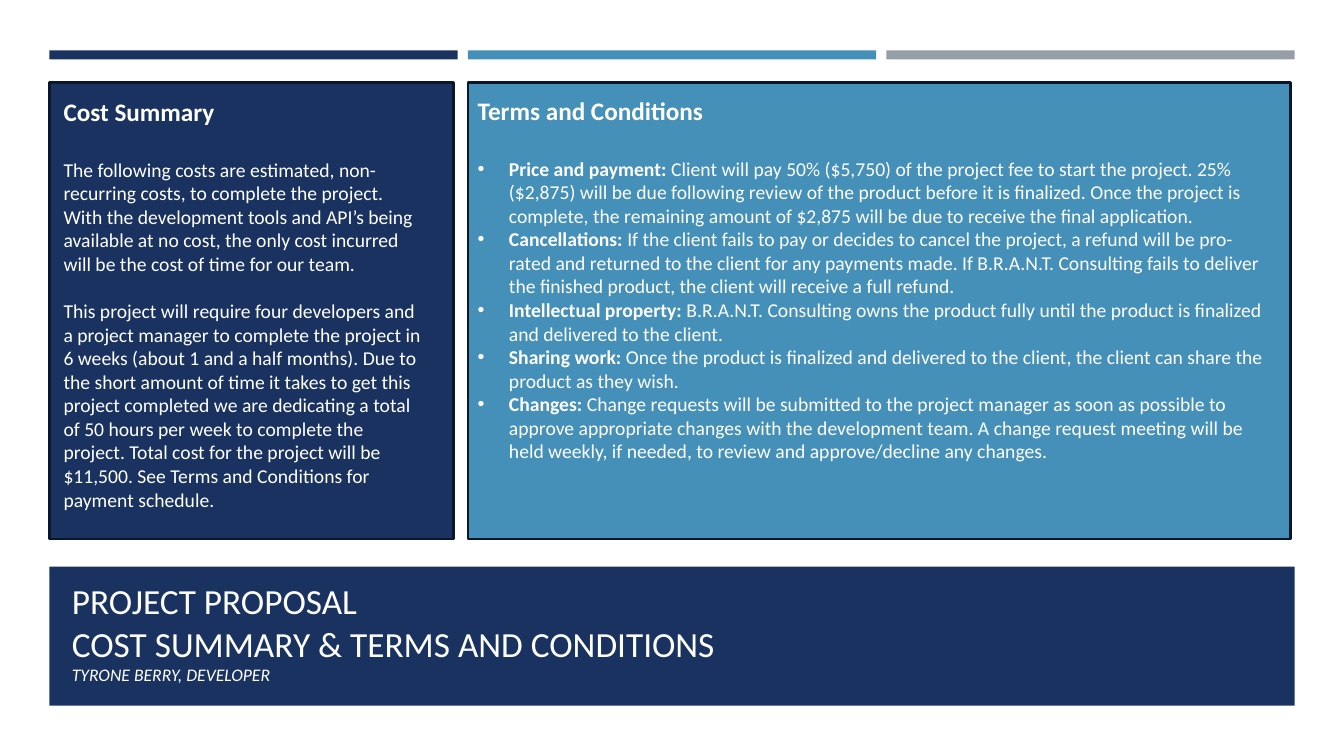
from lxml.etree import SubElement as Sub
from pptx import Presentation
from pptx.dml.color import RGBColor as RGB
from pptx.enum.shapes import MSO_SHAPE as Shape
from pptx.enum.text import MSO_ANCHOR as Anchor
from pptx.oxml.ns import qn
from pptx.util import Inches, Pt

NAVY, BLUE, GREY = "1A3260", "4590B8", "969FA7"
EDGE, WHITE, CREAM = "0B162A", "FFFFFF", "FFFEFF"

COSTS = [
    "The following costs are estimated, non-recurring costs, to complete the project. "
    "With the development tools and API’s being available at no cost, the only cost "
    "incurred will be the cost of time for our team.",
    "This project will require four developers and a project manager to complete the "
    "project in 6 weeks (about 1 and a half months). Due to the short amount of time it "
    "takes to get this project completed we are dedicating a total of 50 hours per week "
    "to complete the project. Total cost for the project will be $11,500. See Terms and "
    "Conditions for payment schedule.",
]
TERMS = {
    "Price and payment:":
        "Client will pay 50% ($5,750) of the project fee to start the project. 25% ($2,875) "
        "will be due following review of the product before it is finalized. Once the project "
        "is complete, the remaining amount of $2,875 will be due to receive the final "
        "application.",
    "Cancellations:":
        "If the client fails to pay or decides to cancel the project, a refund will be "
        "pro-rated and returned to the client for any payments made. If B.R.A.N.T. Consulting "
        "fails to deliver the finished product, the client will receive a full refund.",
    "Intellectual property:":
        "B.R.A.N.T. Consulting owns the product fully until the product is finalized and "
        "delivered to the client.",
    "Sharing work:":
        "Once the product is finalized and delivered to the client, the client can share the "
        "product as they wish.",
    "Changes:":
        "Change requests will be submitted to the project manager as soon as possible to "
        "approve appropriate changes with the development team. A change request meeting will "
        "be held weekly, if needed, to review and approve/decline any changes.",
}


def tint(code):
    return RGB.from_string(code)


class Page:
    """Slide on a grid of three columns and 75 rows."""
    font = "Calibri"
    left, pitch, gap, row = 0.49, 4.15, 0.1, 0.1

    def __init__(self, slide):
        self.slide = slide

    def area(self, col, row, wide, high):
        """Turn grid units into left, top, width and height."""
        return [Inches(n) for n in (self.left + col * self.pitch, row * self.row,
                                    wide * self.pitch - self.gap, high * self.row)]

    def block(self, cell, fill, edge=None):
        box = self.slide.shapes.add_shape(Shape.RECTANGLE, *self.area(*cell))
        box.shadow.inherit = False
        box.fill.solid()
        box.fill.fore_color.rgb = tint(fill)
        if edge:
            box.line.color.rgb = tint(edge)
            box.line.width = Pt(1.75)
        else:
            box.line.fill.background()

    def text(self, cell, anchor=Anchor.TOP):
        frame = self.slide.shapes.add_textbox(*self.area(*cell)).text_frame
        frame.word_wrap = True
        frame.vertical_anchor = anchor
        return frame

    def para(self, frame, parts, size, after=0, color=WHITE, italic=False, bullet=False):
        """Add a paragraph of (words, bold) parts."""
        para = frame.paragraphs[0]
        if para.runs:
            para = frame.add_paragraph()
        if bullet:
            props = para._p.get_or_add_pPr()
            props.set("marL", str(Inches(0.31)))
            props.set("indent", str(-Inches(0.31)))
            Sub(props, qn("a:buFont"), typeface="Arial")
            Sub(props, qn("a:buChar"), char="•")
        para.space_after = Pt(after)
        for words, bold in parts:
            run = para.add_run()
            run.text = words
            font = run.font
            font.name, font.size = self.font, Pt(size)
            font.bold, font.italic = bold, italic
            font.color.rgb = tint(color)

    def head(self, frame, words):
        self.para(frame, [(words, True)], 18, after=22)


def main():
    deck = Presentation()
    deck.slide_width, deck.slide_height = Inches(13.33), Inches(7.5)
    page = Page(deck.slides.add_slide(deck.slide_layouts[6]))

    for col, fill in enumerate((NAVY, BLUE, GREY)):
        page.block((col, 5, 1, 0.9), fill)

    page.block((0, 56.2, 3, 13.8), NAVY)
    title = page.text((0.03, 56.6, 2.93, 11.9), Anchor.BOTTOM)
    for line in ("PROJECT PROPOSAL", "COST SUMMARY & TERMS AND CONDITIONS"):
        page.para(title, [(line, False)], 25.2, color=CREAM)
    page.para(title, [("TYRONE BERRY, DEVELOPER", False)], 12.6, italic=True)

    page.block((0, 8.2, 0.99, 45.3), NAVY, EDGE)
    costs = page.text((0.01, 9.1, 0.93, 44))
    page.head(costs, "Cost Summary")
    for words in COSTS:
        page.para(costs, [(words, False)], 14, after=17)

    page.block((1, 8.2, 1.99, 45.3), BLUE, EDGE)
    terms = page.text((1, 9, 1.96, 43.8))
    page.head(terms, "Terms and Conditions")
    for name, words in TERMS.items():
        page.para(terms, [(name, True), (" " + words, False)], 14, bullet=True)

    deck.save("out.pptx")


if __name__ == "__main__":
    main()
